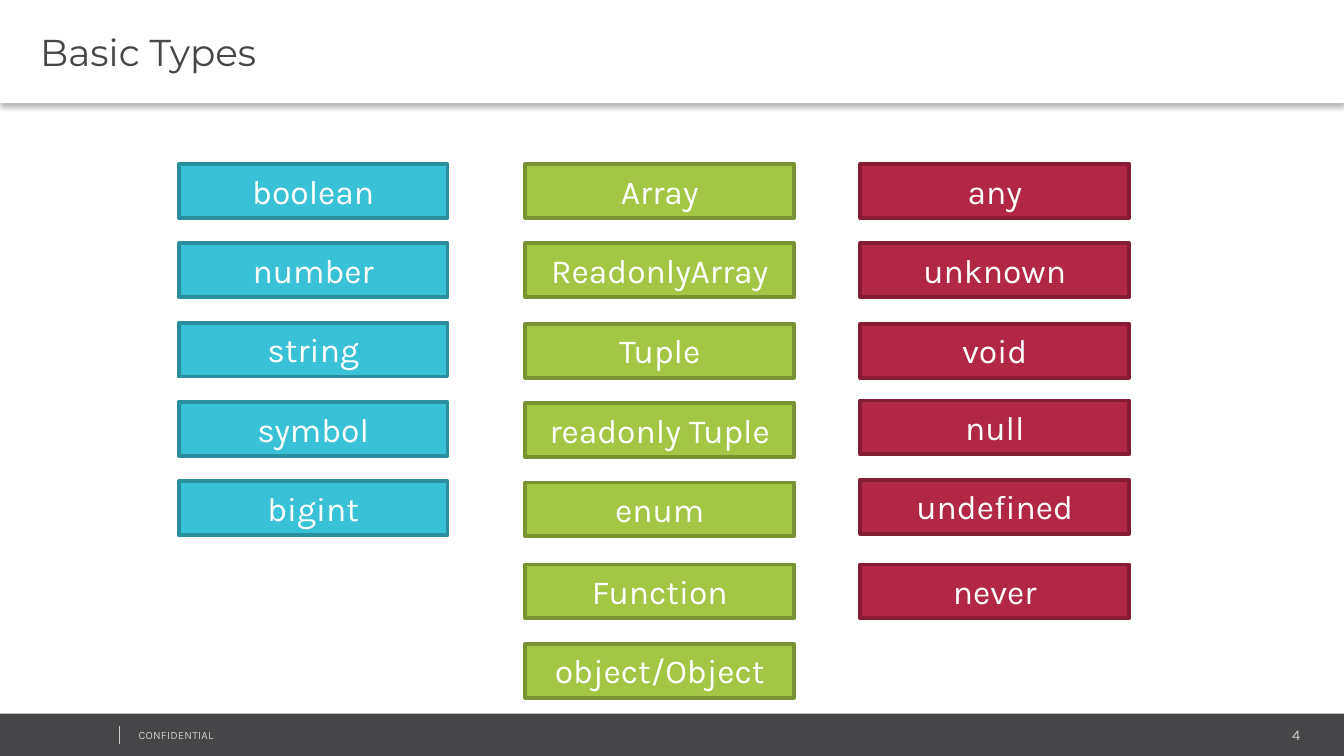
from lxml.etree import SubElement
from pptx import Presentation
from pptx.dml.color import RGBColor
from pptx.enum.shapes import MSO_CONNECTOR as Connector, MSO_SHAPE as Shape
from pptx.enum.text import MSO_ANCHOR as Anchor, MSO_AUTO_SIZE as AutoSize, PP_ALIGN as Align
from pptx.oxml.ns import qn
from pptx.util import Cm, Pt

WHITE = RGBColor(0xFF, 0xFF, 0xFF)
DARK = RGBColor(0x46, 0x45, 0x47)
PALE = RGBColor(0xCC, 0xCC, 0xCC)
BLUE, BLUE_EDGE = RGBColor(0x39, 0xC2, 0xD7), RGBColor(0x2A, 0x90, 0x9F)
GREEN, GREEN_EDGE = RGBColor(0xA3, 0xC6, 0x44), RGBColor(0x79, 0x92, 0x32)
RED, RED_EDGE = RGBColor(0xB2, 0x27, 0x46), RGBColor(0x84, 0x1D, 0x34)

BOX_WIDTH, BOX_HEIGHT = 5.08, 1.02
# Each column: left, fill, edge, then (top, type names) for each evenly spaced run
ROW_STEP = 1.5
COLUMNS = [
    (3.38, BLUE, BLUE_EDGE,
     [(3.1, ["boolean", "number", "string", "symbol", "bigint"])]),
    (9.93, GREEN, GREEN_EDGE,
     [(3.1, ["Array", "ReadonlyArray"]),
      (6.12, ["Tuple", "readonly Tuple", "enum"]),
      (10.67, ["Function", "object/Object"])]),
    (16.26, RED, RED_EDGE,
     [(3.1, ["any", "unknown"]), (6.12, ["void"]),
      (7.57, ["null", "undefined"]), (10.67, ["never"])]),
]


class SlideBuilder:
    body_font = "Karla"
    title_font = "Montserrat"
    small_insets = {"margin_left": Cm(0.18), "margin_right": Cm(0.18),
                    "margin_top": Cm(0.1), "margin_bottom": Cm(0.1)}

    def __init__(self, slide):
        self.slide = slide

    def add_text(self, shape, text, size, color, align=Align.LEFT, font=None, **frame_format):
        frame = shape.text_frame
        frame_format = {"word_wrap": True, "auto_size": AutoSize.NONE,
                        "vertical_anchor": Anchor.TOP, **frame_format}
        for name, value in frame_format.items():
            setattr(frame, name, value)
        paragraph = frame.paragraphs[0]
        paragraph.alignment = align
        run = paragraph.add_run()
        run.text = text
        run.font.color.rgb = color
        for name, value in {"name": font or self.body_font, "size": Pt(size)}.items():
            setattr(run.font, name, value)
        return run

    def title(self, text, height):
        shape = self.slide.shapes.title
        place = {"left": 0, "top": 0, "width": Cm(25.4), "height": Cm(height)}
        for name, value in place.items():
            setattr(shape, name, value)
        shape.fill.solid()
        shape.fill.fore_color.rgb = WHITE
        insets = {**self.small_insets, "margin_left": Cm(0.76)}
        self.add_text(shape, text, 20, DARK, font=self.title_font,
                      vertical_anchor=Anchor.MIDDLE, **insets)
        # Soft shadow below the title bar
        effects = SubElement(shape.element.spPr, qn("a:effectLst"))
        shadow = SubElement(effects, qn("a:outerShdw"), blurRad=str(Pt(3.1)),
                            dist=str(Pt(2)), dir="5400000", algn="t", rotWithShape="0")
        color = SubElement(shadow, qn("a:srgbClr"), val="000000")
        SubElement(color, qn("a:alpha"), val="30000")

    def rectangle(self, left, top, width, height, fill, edge=None):
        shape = self.slide.shapes.add_shape(
            Shape.RECTANGLE, Cm(left), Cm(top), Cm(width), Cm(height))
        shape.shadow.inherit = False
        shape.fill.solid()
        shape.fill.fore_color.rgb = fill
        if edge is None:
            shape.line.fill.background()
        else:
            shape.line.color.rgb = edge
            shape.line.width = Pt(2)
        return shape

    def type_box(self, text, left, top, fill, edge):
        shape = self.rectangle(left, top, BOX_WIDTH, BOX_HEIGHT, fill, edge)
        self.add_text(shape, text, 18, WHITE, Align.CENTER)

    def label(self, text, left, top, width, height, size, align=Align.LEFT):
        shape = self.slide.shapes.add_textbox(Cm(left), Cm(top), Cm(width), Cm(height))
        return self.add_text(shape, text, size, PALE, align, **self.small_insets)

    def divider(self, left, top, bottom):
        line = self.slide.shapes.add_connector(
            Connector.STRAIGHT, Cm(left), Cm(top), Cm(left), Cm(bottom))
        line.line.color.rgb = PALE
        line.line.width = Pt(0.25)
        SubElement(line.element.spPr, qn("a:effectLst"))


def main():
    presentation = Presentation()
    presentation.slide_width, presentation.slide_height = Cm(25.4), Cm(14.29)
    builder = SlideBuilder(presentation.slides.add_slide(presentation.slide_layouts[5]))

    # Footer
    builder.rectangle(0, 13.49, 25.4, 0.8, DARK)
    builder.label("4", 20.62, 13.61, 4.14, 0.53, 8, Align.RIGHT)
    notice = builder.label("CONFIDENTIAL", 2.44, 13.67, 6.43, 0.46, 6)
    notice._r.get_or_add_rPr().set("spc", "10")
    builder.divider(2.26, 13.72, 14.07)

    # Title bar
    builder.title("Basic Types", 1.95)

    # Columns of types
    for left, fill, edge, runs in COLUMNS:
        for top, names in runs:
            for row, name in enumerate(names):
                builder.type_box(name, left, top + row * ROW_STEP, fill, edge)

    presentation.save("out.pptx")


if __name__ == "__main__":
    main()
